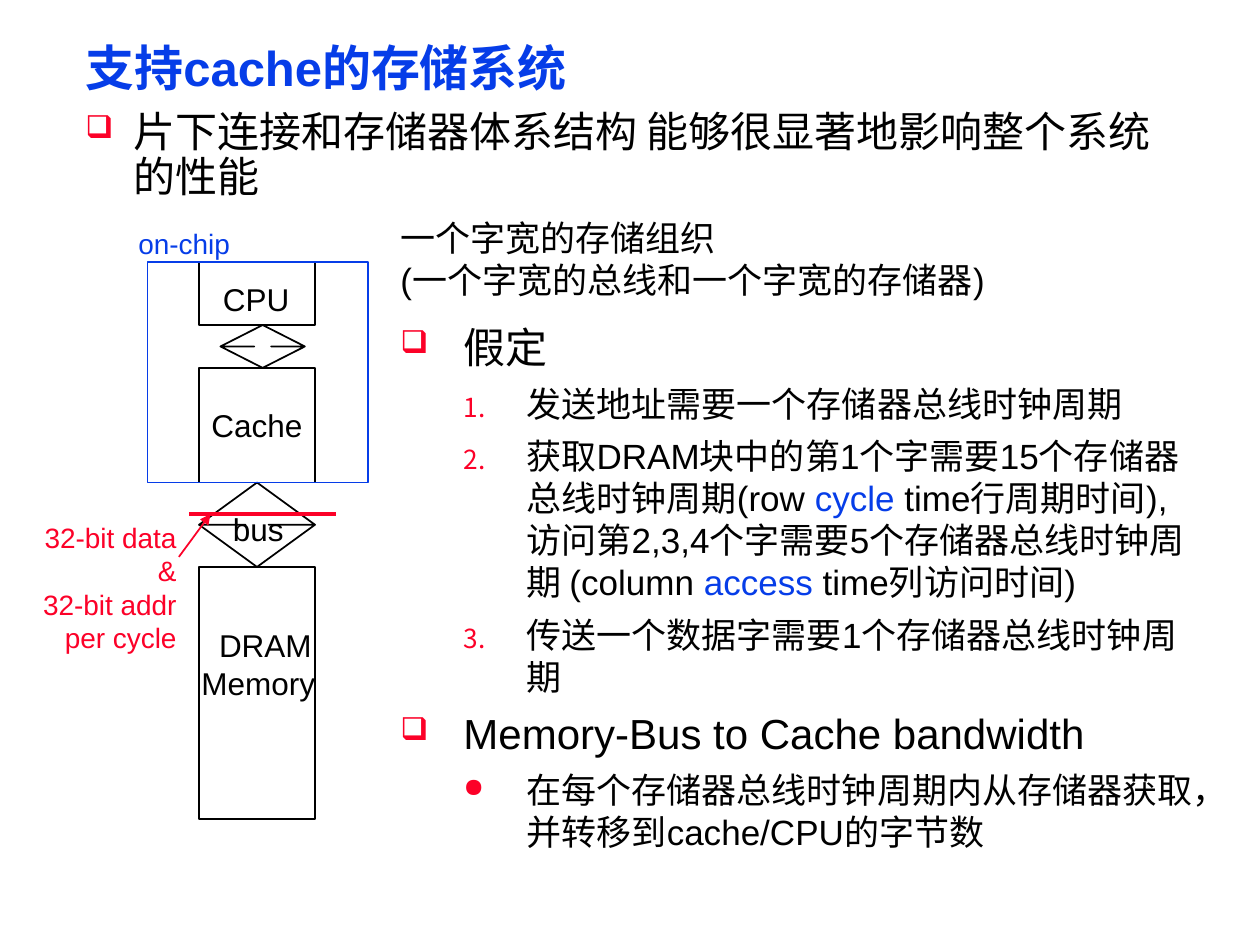
import pptx
import pptx.dml.color
import pptx.enum.shapes
import pptx.enum.text
import pptx.oxml.ns
import pptx.util
from lxml import etree

Inches = pptx.util.Inches
Pt = pptx.util.Pt
SHAPE = pptx.enum.shapes.MSO_SHAPE
ALIGN = pptx.enum.text.PP_ALIGN
ANCHOR = pptx.enum.text.MSO_ANCHOR

COLORS = {"black": "000000", "blue": "063DE8", "red": "FC0128"}
FONT = "Arial"


def rgb(name):
    return pptx.dml.color.RGBColor.from_string(COLORS[name])


def add_element(parent, tag, **attributes):
    return etree.SubElement(parent, pptx.oxml.ns.qn(tag), attributes)


def add_span(para, text, size, color="black", bold=False):
    span = para.add_run()
    span.text = text
    span.font.name = FONT
    span.font.size = Pt(size)
    span.font.bold = bold
    span.font.color.rgb = rgb(color)


def add_box(page, left, top, width, height, wrap=True):
    box = page.shapes.add_textbox(Inches(left), Inches(top), Inches(width), Inches(height))
    box.text_frame.word_wrap = wrap
    return box.text_frame


def add_lines(frame, lines, size, color="black", align=ALIGN.LEFT):
    for index, text in enumerate(lines):
        para = frame.add_paragraph() if index else frame.paragraphs[0]
        para.alignment = align
        add_span(para, text, size, color)


def set_bullet(para, bullet, margin, hanging):
    """A bullet of None numbers the paragraph."""
    properties = para._p.get_or_add_pPr()
    properties.set("marL", str(Inches(margin)))
    properties.set("indent", str(-Inches(hanging)))
    color = add_element(properties, "a:buClr")
    add_element(color, "a:srgbClr", val=COLORS["red"])
    add_element(properties, "a:buSzPct", val="75000")
    if bullet:
        add_element(properties, "a:buChar", char=bullet)
    else:
        add_element(properties, "a:buAutoNum", type="arabicPeriod")


def add_outline(page, kind, left, top, width, height, color="black"):
    shape = page.shapes.add_shape(kind, Inches(left), Inches(top), Inches(width), Inches(height))
    shape.shadow.inherit = False
    shape.fill.background()
    shape.line.color.rgb = rgb(color)
    shape.line.width = Pt(1)
    return shape


def add_line(page, start, end, width, arrow=False):
    line = page.shapes.add_connector(
        pptx.enum.shapes.MSO_CONNECTOR.STRAIGHT, *map(Inches, start + end))
    line.line.color.rgb = rgb("red")
    line.line.width = Pt(width)
    if arrow:
        add_element(line.line._get_or_add_ln(), "a:tailEnd", type="triangle")
    add_element(line._element.spPr, "a:effectLst")


def build_heading(page, left, top, width):
    # Title
    frame = add_box(page, left, top, width, 0.51)
    frame.vertical_anchor = ANCHOR.MIDDLE
    frame.paragraphs[0].line_spacing = 0.87
    add_span(frame.paragraphs[0], "支持cache的存储系统", 28, "blue", bold=True)
    # Main statement
    para = add_box(page, left, top + 0.52, 8.75, 0.83).paragraphs[0]
    para.line_spacing = 0.9
    set_bullet(para, "❑", 0.38, 0.38)
    add_span(para, "片下连接和存储器体系结构 能够很显著地影响整个系统的性能", 24)


def build_diagram(page, left, top):
    """Left and top are the corner of the chip outline."""
    column, width = left + 0.41, 0.92
    # Blocks
    for offset, height in ((0, 0.5), (0.84, 0.91), (2.42, 2)):
        add_outline(page, SHAPE.RECTANGLE, column, top + offset, width, height)
    # Two-way arrows between blocks
    for x, offset, arrow_width, height in ((column + 0.17, 0.5, 0.67, 0.34),
                                           (column, 1.75, width, 0.67)):
        arrow = add_outline(page, SHAPE.UP_DOWN_ARROW, x, top + offset, arrow_width, height)
        arrow.adjustments[0] = 0.5
        arrow.adjustments[1] = 0.2
    add_outline(page, SHAPE.RECTANGLE, left, top, 1.75, 1.75, "blue")
    # Block labels
    for text, x, offset, label_width in (("CPU", 0.5, 0.09, 0.85),
                                         ("Cache", 0.41, 1.09, 1),
                                         ("bus", 0.58, 1.92, 0.75)):
        add_lines(add_box(page, left + x, top + offset, label_width, 0.4), [text], 18)
    memory = add_box(page, left + 0.33, top + 2.84, 1.17, 0.71)
    add_lines(memory, ["DRAM", "Memory"], 18)
    memory.paragraphs[0]._p.get_or_add_pPr().set("marL", str(Inches(0.14)))
    # Chip and bus annotations
    chip = add_box(page, left - 0.17, top - 0.33, 0.93, 0.37, wrap=False)
    add_lines(chip, ["on-chip"], 16, "blue")
    add_lines(add_box(page, left - 1, top + 2, 1.33, 1.17),
              ["32-bit data", "&", "32-bit addr", "per cycle"], 16, "red", ALIGN.RIGHT)
    bus_y = top + 2
    add_line(page, (left + 0.33, bus_y), (left + 1.5, bus_y), 2.25)
    add_line(page, (left + 0.25, bus_y + 0.34), (left + 0.5, bus_y), 1, arrow=True)


def build_notes(page, left, top):
    # Memory organisation
    add_lines(add_box(page, left, top, 6.17, 0.77),
              ["一个字宽的存储组织", "(一个字宽的总线和一个字宽的存储器)"], 20)
    # Assumptions and bandwidth: level, bullet, spans
    items = [
        (0, "❑", [("假定", "black")]),
        (1, None, [("发送地址需要一个存储器总线时钟周期", "black")]),
        (1, None, [("获取DRAM块中的第1个字需要15个存储器总线时钟周期(row ", "black"),
                   ("cycle", "blue"),
                   (" time行周期时间), 访问第2,3,4个字需要5个存储器总线时钟周期 (column ", "black"),
                   ("access", "blue"),
                   (" time列访问时间)", "black")]),
        (1, None, [("传送一个数据字需要1个存储器总线时钟周期", "black")]),
        (0, "❑", [("Memory-Bus to Cache bandwidth", "black")]),
        (1, "●", [("在每个存储器总线时钟周期内从存储器获取，并转移到cache/CPU的字节数", "black")]),
    ]
    frame = add_box(page, left, top + 0.83, 6.58, 4.75)
    for index, (level, bullet, spans) in enumerate(items):
        para = frame.add_paragraph() if index else frame.paragraphs[0]
        para.level = level
        para.space_before = Pt(6 if index else 0)
        set_bullet(para, bullet, 0.5 + 0.5 * level, 0.5)
        for text, color in spans:
            add_span(para, text, 20 if level else 24, color)


def main():
    deck = pptx.Presentation()
    deck.slide_width, deck.slide_height = Inches(10), Inches(7.5)
    page = deck.slides.add_slide(deck.slide_layouts[6])
    build_heading(page, 0.58, 0.31, 8.92)
    build_diagram(page, 1.17, 2.08)
    build_notes(page, 3.08, 1.67)
    deck.save("out.pptx")


if __name__ == "__main__":
    main()
